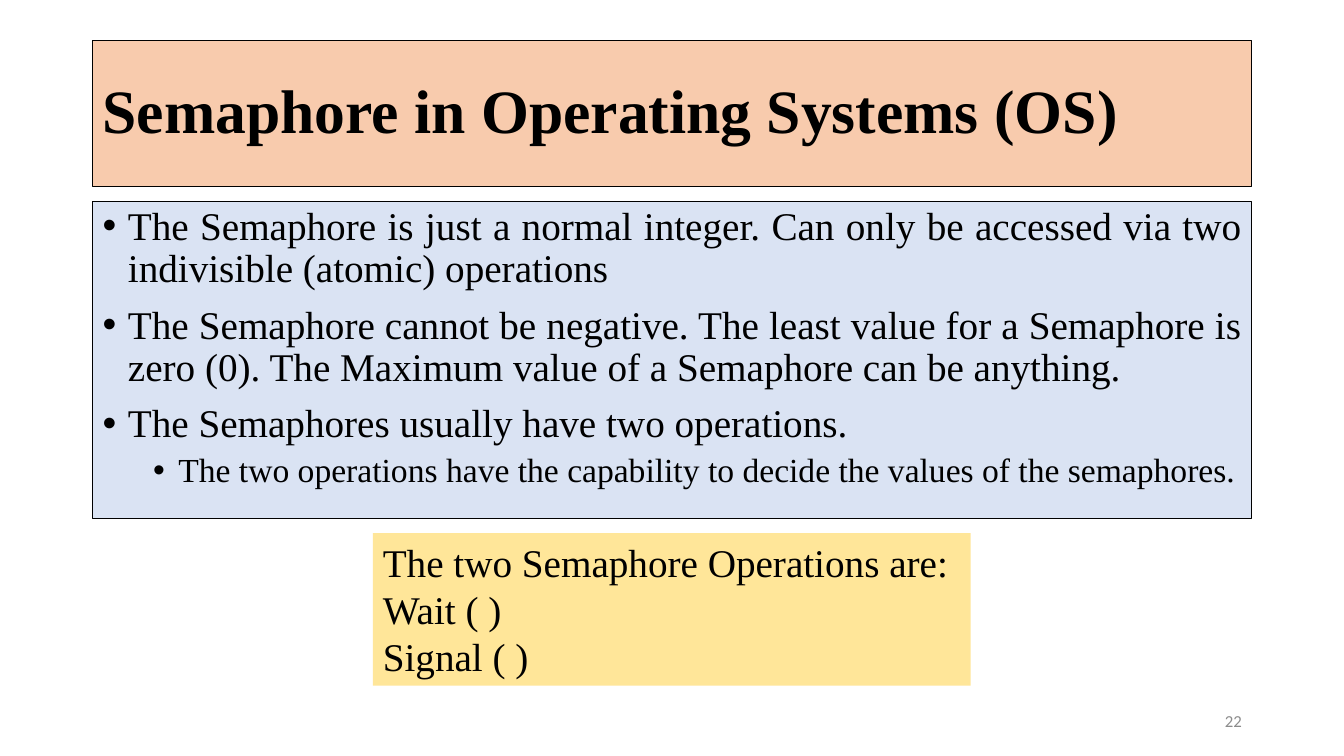
from lxml import etree
from pptx import Presentation
from pptx.dml.color import RGBColor
from pptx.enum import shapes, text
from pptx.oxml import ns
from pptx.util import Pt

BLACK = RGBColor(0x00, 0x00, 0x00)
GREY = RGBColor(0x8C, 0x8C, 0x8C)
PEACH = RGBColor(0xF8, 0xCB, 0xAD)
PALE_BLUE = RGBColor(0xDA, 0xE3, 0xF3)
YELLOW = RGBColor(0xFF, 0xE6, 0x99)
SERIF = "Times New Roman"

MARGIN = 66.2
CONTENT_WIDTH = 828

TITLE = "Semaphore in Operating Systems (OS)"
POINTS = [
    (0, "The Semaphore is just a normal integer. Can only be accessed via two "
        "indivisible (atomic) operations"),
    (0, "The Semaphore cannot be negative. The least value for a Semaphore is "
        "zero (0). The Maximum value of a Semaphore can be anything. "),
    (0, "The Semaphores usually have two operations. "),
    (1, "The two operations have the capability to decide the values of the semaphores."),
]
OPERATIONS = ["The two Semaphore Operations are:", "Wait ( )", "Signal ( )"]


def place(box, left, top, width, height):
    box.left, box.top, box.width, box.height = map(Pt, (left, top, width, height))


def paint(box, fill, outline=None):
    box.fill.solid()
    box.fill.fore_color.rgb = fill
    if outline is None:
        box.line.fill.background()
    else:
        box.line.color.rgb = outline
        box.line.width = Pt(0.75)


def prepare_frame(box, anchor=text.MSO_ANCHOR.TOP, auto_size=text.MSO_AUTO_SIZE.NONE):
    frame = box.text_frame
    frame.word_wrap = True
    frame.auto_size = auto_size
    frame.vertical_anchor = anchor
    return frame


def next_para(frame, index):
    return frame.add_paragraph() if index else frame.paragraphs[0]


def add_bullet(para, indent, hanging):
    properties = para._p.get_or_add_pPr()
    properties.set("marL", str(Pt(indent)))
    properties.set("indent", str(Pt(-hanging)))
    etree.SubElement(properties, ns.qn("a:buFont"), typeface="Arial")
    etree.SubElement(properties, ns.qn("a:buChar"), char="•")


def write(para, words, size=28, font=SERIF, color=BLACK, bold=False,
          align=text.PP_ALIGN.LEFT, spacing=1.0, before=0):
    para.alignment = align
    para.line_spacing = spacing
    para.space_before = Pt(before)
    span = para.add_run()
    span.text = words
    span.font.size = Pt(size)
    span.font.name = font
    span.font.color.rgb = color
    span.font.bold = bold


def fill_title(box):
    place(box, MARGIN, 28.8, CONTENT_WIDTH, 104.4)
    paint(box, PEACH, BLACK)
    frame = prepare_frame(box, text.MSO_ANCHOR.MIDDLE)
    write(frame.paragraphs[0], TITLE, size=44, bold=True, spacing=0.9)


def fill_points(box):
    place(box, MARGIN, 144, CONTENT_WIDTH, 226.1)
    paint(box, PALE_BLUE, BLACK)
    frame = prepare_frame(box)
    for index, (level, words) in enumerate(POINTS):
        para = next_para(frame, index)
        para.level = level
        add_bullet(para, indent=18 + 36 * level, hanging=18)
        before = (5 if level else 10) if index else 0
        write(para, words, size=24 if level else 28, spacing=0.9,
              before=before, align=text.PP_ALIGN.JUSTIFY)


def add_operations(page):
    box = page.shapes.add_shape(shapes.MSO_SHAPE.RECTANGLE, 0, 0, 0, 0)
    place(box, 266.4, 380.9, 427, 108.9)
    box.shadow.inherit = False
    paint(box, YELLOW)
    frame = prepare_frame(box, auto_size=text.MSO_AUTO_SIZE.SHAPE_TO_FIT_TEXT)
    for index, words in enumerate(OPERATIONS):
        write(next_para(frame, index), words)


def add_page_number(page):
    box = page.shapes.add_textbox(0, 0, 0, 0)
    place(box, 678.2, 500.5, 216, 28.75)
    frame = prepare_frame(box, text.MSO_ANCHOR.MIDDLE)
    write(frame.paragraphs[0], "22", size=12, font="Calibri", color=GREY,
          align=text.PP_ALIGN.RIGHT)


def main():
    deck = Presentation()
    deck.slide_width, deck.slide_height = Pt(960), Pt(540)
    page = deck.slides.add_slide(deck.slide_layouts[1])

    # Heading and list
    fill_title(page.shapes.title)
    fill_points(page.placeholders[1])

    # Operations panel and page number
    add_operations(page)
    add_page_number(page)

    deck.save("out.pptx")


if __name__ == "__main__":
    main()
